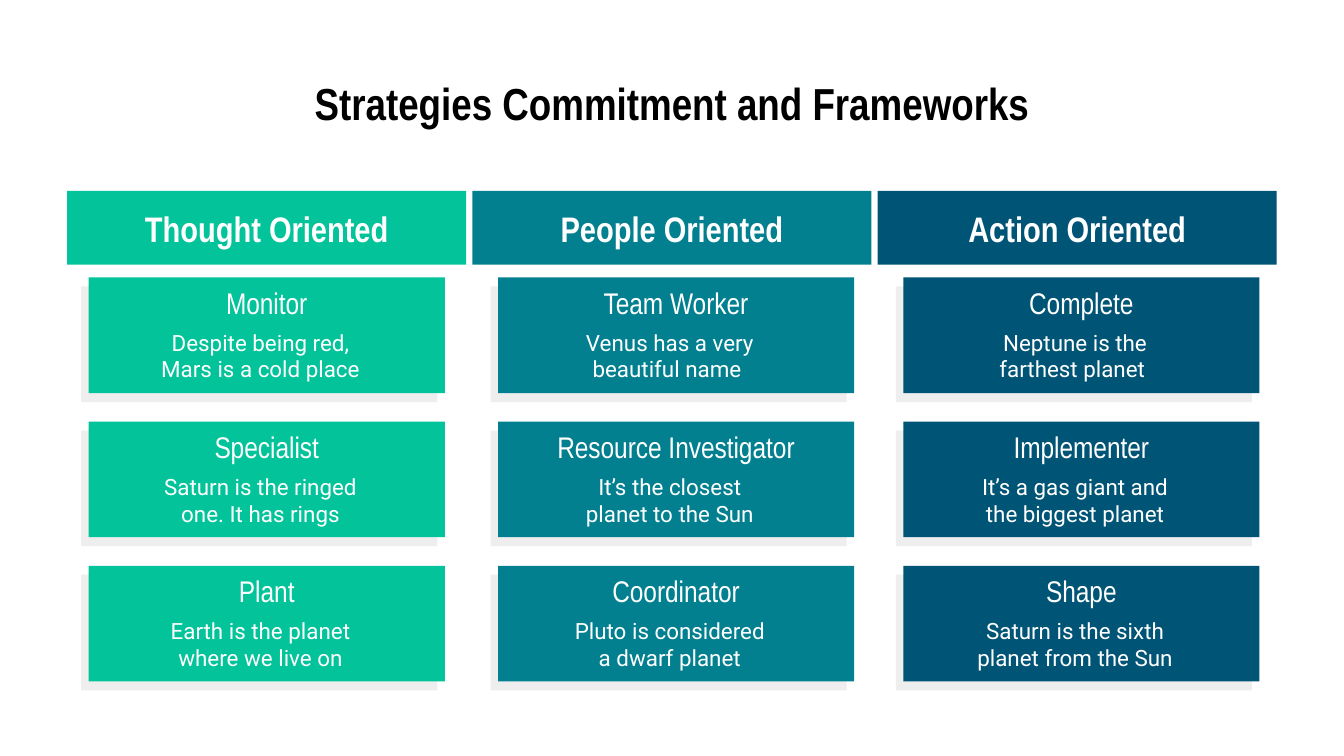
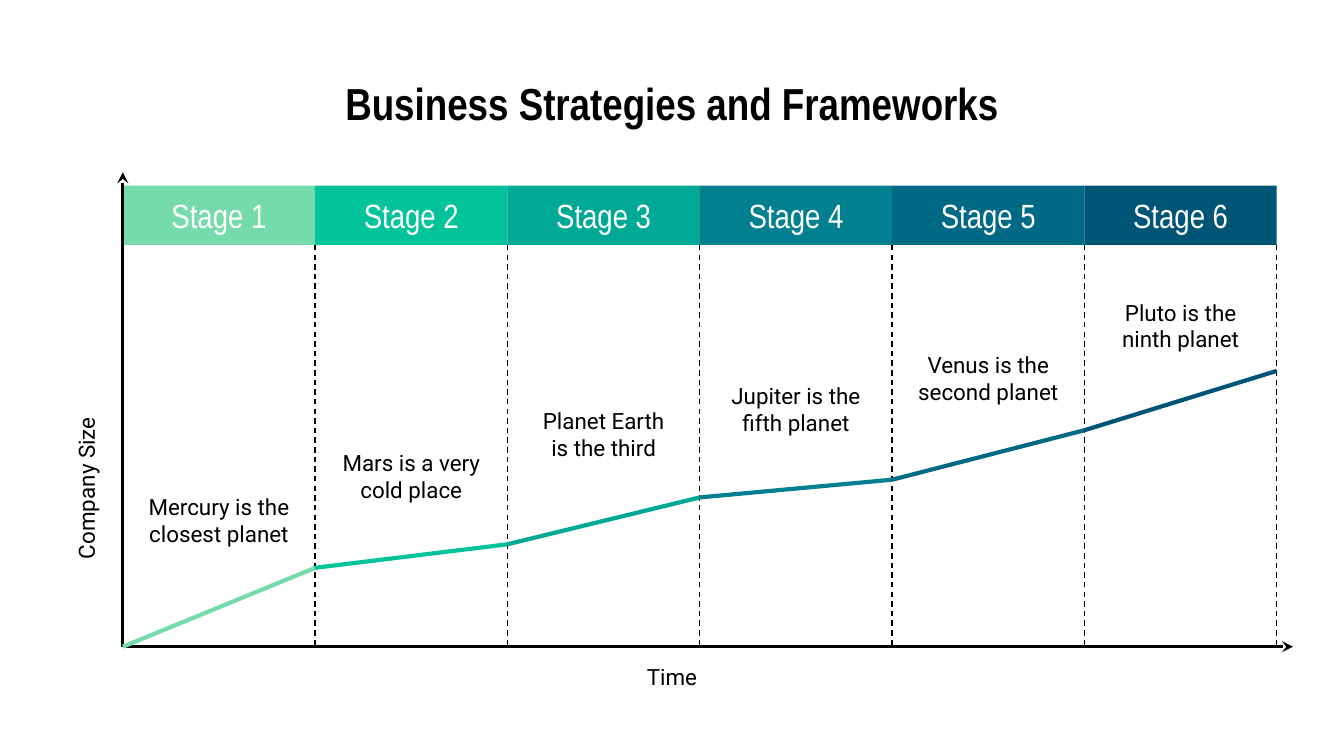
from itertools import pairwise

from lxml.etree import SubElement
from pptx import Presentation
from pptx.dml.color import RGBColor
from pptx.enum.dml import MSO_LINE
from pptx.enum.shapes import MSO_CONNECTOR, MSO_SHAPE
from pptx.enum.text import MSO_ANCHOR, MSO_AUTO_SIZE, PP_ALIGN
from pptx.oxml.ns import qn
from pptx.util import Pt

COLORS = {
    "black": "000000", "white": "FFFFFF", "shade": "EEEEEE",
    "mint": "76DBAB", "green": "02C39A", "jade": "00A896",
    "teal": "028090", "ocean": "006985", "navy": "005475",
}
HEAD, BODY = "Arial Narrow", "Roboto"

COLUMNS = [
    ("Thought Oriented", "green", 11.5, [
        ("Monitor", "Despite being red, Mars is a cold place"),
        ("Specialist", "Saturn is the ringed one. It has rings"),
        ("Plant", "Earth is the planet where we live on")]),
    ("People Oriented", "teal", 13.7, [
        ("Team Worker", "Venus has a very beautiful name "),
        ("Resource Investigator", "It’s the closest planet to the Sun"),
        ("Coordinator", "Pluto is considered a dwarf planet")]),
    ("Action Oriented", "navy", 13.7, [
        ("Complete", "Neptune is the farthest planet "),
        ("Implementer", "It’s a gas giant and the biggest planet"),
        ("Shape", "Saturn is the sixth planet from the Sun")]),
]

STAGES = [
    ("mint", "Mercury is the closest planet ", 158.3),
    ("green", "Mars is a very cold place", 134.5),
    ("jade", "Planet Earth is the third", 112.2),
    ("teal", "Jupiter is the fifth planet", 98.5),
    ("ocean", "Venus is the second planet", 82),
    ("navy", "Pluto is the ninth planet", 54),
]
GROWTH = [247, 204.7, 192.1, 167, 157.5, 131, 99.2]


def rgb(name):
    return RGBColor.from_string(COLORS[name])


def write(shape, text, size=12, font=BODY, color="black", bold=False):
    tf = shape.text_frame
    tf.word_wrap = True
    tf.auto_size = MSO_AUTO_SIZE.NONE
    tf.vertical_anchor = MSO_ANCHOR.MIDDLE
    tf.margin_left = tf.margin_right = tf.margin_top = tf.margin_bottom = Pt(7.2)
    p = tf.paragraphs[0]
    p.alignment = PP_ALIGN.CENTER
    r = p.add_run()
    r.text = text
    r.font.size, r.font.name, r.font.bold = Pt(size), font, bold
    r.font.color.rgb = rgb(color)


def add_rect(shapes, box, color):
    sp = shapes.add_shape(MSO_SHAPE.RECTANGLE, *map(Pt, box))
    sp.shadow.inherit = False
    sp.fill.solid()
    sp.fill.fore_color.rgb = rgb(color)
    sp.line.fill.background()
    return sp


def add_label(shapes, box, text, **fmt):
    sp = shapes.add_textbox(*map(Pt, box))
    write(sp, text, **fmt)
    return sp


def add_line(shapes, start, end, color="black", width=0.75, dash=False, arrow=False):
    cn = shapes.add_connector(MSO_CONNECTOR.STRAIGHT, *map(Pt, (*start, *end)))
    cn.line.color.rgb = rgb(color)
    cn.line.width = Pt(width)
    if dash:
        cn.line.dash_style = MSO_LINE.DASH
    if arrow:
        SubElement(cn.line._get_or_add_ln(), qn("a:headEnd"), type="stealth")
    SubElement(cn._element.spPr, qn("a:effectLst"))


def add_titled_slide(prs, text):
    s = prs.slides.add_slide(prs.slide_layouts[5])
    title = s.shapes.title
    title.left, title.top, title.width, title.height = map(Pt, (36, 32.4, 648, 45.4))
    write(title, text, size=24, font=HEAD, bold=True)
    return s


def add_card(s, box, name, text, color):
    x, y, w, h = box
    shapes = s.shapes.add_group_shape().shapes
    add_rect(shapes, (x - 4, y + 4.8, w, h), "shade")
    add_rect(shapes, box, color)
    add_label(shapes, (x, y, w, 26.6), name, size=16, font=HEAD, color="white")
    add_label(shapes, (x + 30.5, y + 24.2, 123.1, 35.3), text, color="white")


def add_column(s, box, name, color, inset, cards):
    x, y, w, h = box
    header = add_rect(s.shapes, (x, y, w, 39.5), color)
    write(header, name, size=19, font=HEAD, color="white", bold=True)
    card_h, top = 62, 46.3
    step = (h - top - card_h) / (len(cards) - 1)
    for i, (title, text) in enumerate(cards):
        add_card(s, (x + inset, y + top + i * step, 190.8, card_h), title, text, color)


def add_columns(s, box):
    x, y, w, h = box
    gap = 3.3
    col_w = (w - gap * (len(COLUMNS) - 1)) / len(COLUMNS)
    for i, column in enumerate(COLUMNS):
        add_column(s, (x + i * (col_w + gap), y, col_w, h), *column)


def add_growth_plot(s, box):
    x, y, w, h = box
    shapes = s.shapes
    step, band_h = w / len(STAGES), 31.7
    bottom = y + h
    for i, (color, text, label_y) in enumerate(STAGES):
        left = x + i * step
        band = add_rect(shapes, (left, y, step, band_h), color)
        write(band, f"Stage {i + 1}", size=18, font=HEAD, color="white")
        add_line(shapes, (left + step, y + band_h), (left + step, bottom), dash=True)
        add_label(shapes, (left + (step - 90) / 2, y + label_y, 90, 41.8), text)
    add_line(shapes, (x, y - 7.2), (x, bottom), width=1.5, arrow=True)
    add_line(shapes, (x + w + 8.7, bottom), (x, bottom), width=1.5, arrow=True)
    for i, (start, end) in enumerate(pairwise(GROWTH)):
        left = x + i * step
        add_line(shapes, (left, y + start), (left + step, y + end),
                 color=STAGES[i][0], width=2.25)
    size = add_label(shapes, (x - 88.1, y + 151.9, 136.8, 20.2), "Company Size")
    size.rotation = 270
    add_label(shapes, (x + 225.8, bottom + 5.7, 136.8, 20.2), "Time")


def main():
    prs = Presentation()
    prs.slide_width, prs.slide_height = Pt(720), Pt(405)
    s = add_titled_slide(prs, "Strategies Commitment and Frameworks")
    add_columns(s, (36, 102.3, 648, 262.8))
    s = add_titled_slide(prs, "Business Strategies and Frameworks")
    add_growth_plot(s, (65.8, 99.5, 618.2, 247))
    prs.save("out.pptx")


if __name__ == "__main__":
    main()
